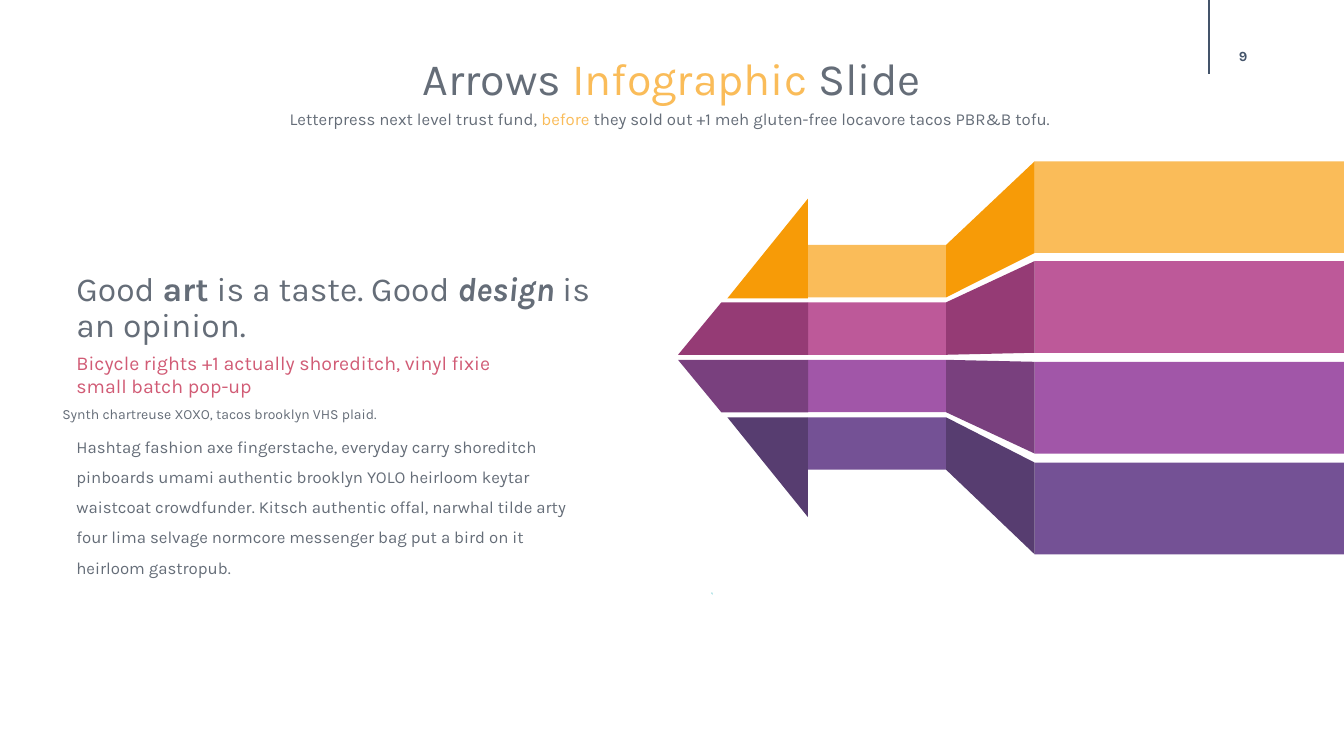
"""Build the arrows infographic slide."""
from dataclasses import dataclass

from lxml import etree
from pptx import Presentation
from pptx import util as u
from pptx.dml.color import RGBColor
from pptx.enum import shapes, text
from pptx.oxml import ns

FONT = "Karla"
HUES = {
    "gray": "656D78", "slate": "44546A", "gold": "FABC59", "amber": "F79B07",
    "pink": "BD5999", "plum": "953B75", "orchid": "A156A8", "grape": "79407E",
    "violet": "745195", "night": "573D70", "rose": "D15B75", "teal": "46BDC6",
}
NECK_X, FOLD_X, TAIL_X, EDGE = 8.02, 9.39, 10.27, 13.34
NECK_H, TAIL_H = 0.52, 0.91
LEFT, MID = text.PP_ALIGN.LEFT, text.PP_ALIGN.CENTER

Point = tuple[float, float]


@dataclass
class Word:
    """A run of text with its look."""
    text: str
    hue: str = "gray"
    bold: bool = False
    slant: bool = False


@dataclass
class Note:
    """A block of text with its frame."""
    box: tuple[float, float, float, float]
    size: int
    words: list[Word]
    align: text.PP_ALIGN = LEFT
    space: float = 1.0
    wrap: bool = True


@dataclass
class Band:
    """One strip of the folded arrow."""
    tail: float
    neck: float
    light: str
    dark: str
    head: list[Point]


TITLE = Note((2.54, 0.45, 8.26, 0.64), 32,
             [Word("Arrows "), Word("Infographic ", "gold"), Word("Slide")], MID)
PAGE = Note((11.94, 0.36, 0.8, 0.4), 10, [Word("9", "slate", True)], MID)
NOTES = [
    Note((2.61, 1.03, 8.12, 0.3), 12,
         [Word("Letterpress next level trust fund, "), Word("before", "gold"),
          Word(" they sold out +1 meh gluten-free locavore tacos PBR&B tofu. ")],
         MID, wrap=False),
    Note((0.66, 2.65, 5.53, 0.82), 24,
         [Word("Good "), Word("art", bold=True), Word(" is a taste. Good "),
          Word("design", bold=True, slant=True), Word(" is an opinion.")], space=0.9),
    Note((0.66, 3.43, 4.72, 0.57), 14,
         [Word("Bicycle rights +1 actually shoreditch, vinyl fixie small batch pop-up",
               "rose")]),
    Note((0.52, 3.92, 3.43, 0.32), 10,
         [Word("Synth chartreuse XOXO, tacos brooklyn VHS plaid.")],
         space=1.3, wrap=False),
    Note((0.66, 4.18, 5.32, 1.6), 12,
         [Word("Hashtag fashion axe fingerstache, everyday carry shoreditch pinboards "
               "umami authentic brooklyn YOLO heirloom keytar waistcoat crowdfunder. "
               "Kitsch authentic offal, narwhal tilde arty four lima selvage normcore "
               "messenger bag put a bird on it heirloom gastropub.")], space=1.5),
]
BANDS = [
    Band(1.6, 2.43, "gold", "amber", [(8.02, 1.97), (7.22, 2.96), (8.02, 2.96)]),
    Band(4.59, 4.14, "violet", "night", [(8.02, 5.13), (7.22, 4.14), (8.02, 4.14)]),
    Band(3.59, 3.57, "orchid", "grape",
         [(6.73, 3.57), (7.16, 4.09), (8.02, 4.09), (8.02, 3.57)]),
    Band(2.59, 3.0, "pink", "plum",
         [(7.16, 3.0), (6.73, 3.52), (8.02, 3.52), (8.02, 3.0)]),
]


def tint(hue: str) -> RGBColor:
    """Look up a colour."""
    return RGBColor.from_string(HUES[hue])


def paint(shape, hue: str) -> None:
    """Give a shape a flat fill."""
    shape.shadow.inherit = False
    shape.fill.solid()
    shape.fill.fore_color.rgb = tint(hue)
    shape.line.fill.background()


def block(tree, left: float, top: float, width: float, height: float, hue: str) -> None:
    """Draw a plain rectangle."""
    box = map(u.Inches, (left, top, width, height))
    paint(tree.add_shape(shapes.MSO_SHAPE.RECTANGLE, *box), hue)


def facet(tree, points: list[Point], hue: str) -> None:
    """Draw a closed polygon."""
    dots = [(u.Inches(x), u.Inches(y)) for x, y in points]
    pen = tree.build_freeform(*dots[0])
    pen.add_line_segments(dots[1:], close=True)
    paint(pen.convert_to_shape(), hue)


def strip(tree, band: Band) -> None:
    """Draw the tail, neck, fold and head of a band."""
    part = tree.add_group_shape().shapes
    block(part, TAIL_X, band.tail, EDGE - TAIL_X, TAIL_H, band.light)
    block(part, NECK_X, band.neck, FOLD_X - NECK_X, NECK_H, band.light)
    facet(part, [(FOLD_X, band.neck), (TAIL_X, band.tail),
                 (TAIL_X, band.tail + TAIL_H), (FOLD_X, band.neck + NECK_H)], band.dark)
    facet(part, band.head, band.dark)


def write(shape, note: Note) -> None:
    """Place a text shape and fill it with words."""
    shape.left, shape.top, shape.width, shape.height = map(u.Inches, note.box)
    frame = shape.text_frame
    frame.word_wrap = note.wrap
    frame.auto_size = text.MSO_AUTO_SIZE.SHAPE_TO_FIT_TEXT
    frame.vertical_anchor = text.MSO_ANCHOR.TOP
    para = frame.paragraphs[0]
    para.alignment, para.line_spacing = note.align, note.space
    for word in note.words:
        run = para.add_run()
        run.text = word.text
        font = run.font
        font.name, font.size = FONT, u.Pt(note.size)
        font.bold, font.italic = word.bold, word.slant
        font.color.rgb = tint(word.hue)


def number(tree) -> None:
    """Draw the page number and its rule."""
    rule = tree.add_connector(shapes.MSO_CONNECTOR.STRAIGHT, u.Inches(12), 0,
                              u.Inches(12), u.Inches(0.73))
    rule.line.color.rgb, rule.line.width = tint("slate"), u.Pt(1)
    etree.SubElement(rule.element.spPr, ns.qn("a:effectLst"))
    page = tree.add_textbox(0, 0, 0, 0)
    write(page, PAGE)
    frame = page.text_frame
    frame.auto_size = text.MSO_AUTO_SIZE.NONE
    frame.vertical_anchor = text.MSO_ANCHOR.MIDDLE
    frame.margin_left = frame.margin_right = 0
    frame.margin_top = frame.margin_bottom = 0


def main() -> None:
    """Build and save the deck."""
    deck = Presentation()
    deck.slide_width, deck.slide_height = u.Inches(EDGE), u.Inches(7.5)
    tree = deck.slides.add_slide(deck.slide_layouts[5]).shapes
    number(tree)
    write(tree.title, TITLE)
    for band in BANDS:
        strip(tree, band)
    facet(tree, [(7.06, 5.88), (7.07, 5.9), (7.07, 5.88)], "teal")
    for note in NOTES:
        write(tree.add_textbox(0, 0, 0, 0), note)
    deck.save("out.pptx")


if __name__ == "__main__":
    main()
